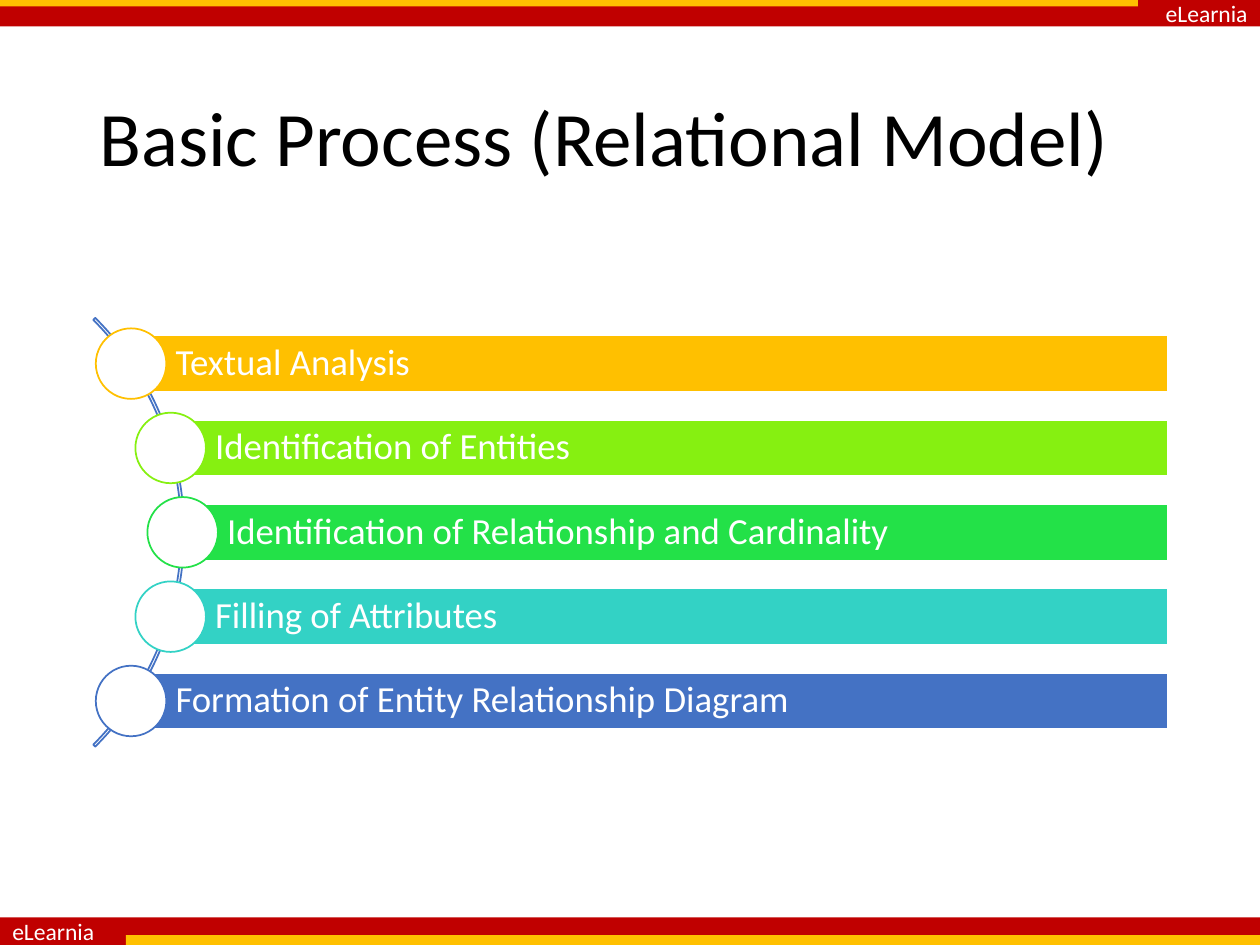
import math
from pptx import Presentation
from pptx.dml.color import RGBColor
from pptx.enum import shapes, text
from pptx.util import Pt

FONT = "Calibri"
TITLE = "Basic Process (Relational Model)"
SCHOOL = "eLearnia"
WHITE, RED, GOLD, BLUE = "FFFFFF", "C00000", "FFC000", "4472C4"
STEPS = [
    ("Textual Analysis", GOLD),
    ("Identification of Entities", "86F011"),
    ("Identification of Relationship and Cardinality", "23E148"),
    ("Filling of Attributes", "33D2C5"),
    ("Formation of Entity Relationship Diagram", BLUE),
]
BANDS = [
    (0, 0, 720, 15.1, RED, text.PP_ALIGN.RIGHT),
    (0, 524.2, 720, 15.8, RED, text.PP_ALIGN.LEFT),
    (0, 0, 650.2, 3.6, GOLD, None),
    (72, 534.4, 648, 5.6, GOLD, None),
]

ARC_X, ARC_Y, ARC_RADIUS, ARC_THICKNESS = -68, 304.2, 173.2, 1.6
STEP_PITCH, BAR_HEIGHT, BAR_RIGHT, DOT = 48.2, 32.2, 667.4, 40.3


def rgb(value):
    return RGBColor.from_string(value)


def add_part(slide, kind, left, top, width, height, fill=None, line=None):
    part = slide.shapes.add_shape(kind, Pt(left), Pt(top), Pt(width), Pt(height))
    part.shadow.inherit = False
    if fill:
        part.fill.solid()
        part.fill.fore_color.rgb = rgb(fill)
    else:
        part.fill.background()
    if line:
        part.line.color.rgb = rgb(line)
        part.line.width = Pt(1)
    else:
        part.line.fill.background()
    return part


def write(part, words, size, color, align=text.PP_ALIGN.LEFT, spacing=1.0, wrap=True):
    frame = part.text_frame
    frame.word_wrap = wrap
    frame.vertical_anchor = text.MSO_ANCHOR.MIDDLE
    paragraph = frame.paragraphs[0]
    paragraph.alignment = align
    paragraph.line_spacing = spacing
    run = paragraph.add_run()
    run.text = words
    run.font.name = FONT
    run.font.size = Pt(size)
    run.font.color.rgb = rgb(color)
    return frame


def add_step(slide, index, words, color):
    offset = (index - (len(STEPS) - 1) / 2) * STEP_PITCH
    middle = ARC_Y + offset
    left = ARC_X + math.sqrt((ARC_RADIUS - ARC_THICKNESS / 2) ** 2 - offset ** 2)
    bar = add_part(slide, shapes.MSO_SHAPE.RECTANGLE, left, middle - BAR_HEIGHT / 2,
                   BAR_RIGHT - left, BAR_HEIGHT, color, WHITE)
    frame = write(bar, words, 21, WHITE, spacing=0.9)
    frame.margin_left = Pt(25.4)
    frame.margin_top = frame.margin_right = frame.margin_bottom = Pt(4.2)
    add_part(slide, shapes.MSO_SHAPE.OVAL, left - DOT / 2, middle - DOT / 2,
             DOT, DOT, WHITE, color)


def main():
    deck = Presentation()
    deck.slide_width, deck.slide_height = Pt(720), Pt(540)
    slide = deck.slides.add_slide(deck.slide_layouts[6])

    for left, top, width, height, color, align in BANDS:
        band = add_part(slide, shapes.MSO_SHAPE.RECTANGLE, left, top, width, height, color)
        if align is not None:
            write(band, SCHOOL, 13.5, WHITE, align, wrap=False)

    title = slide.shapes.add_textbox(Pt(49.7), Pt(28.8), Pt(620.6), Pt(104.4))
    write(title, TITLE, 44, "000000", spacing=0.9)

    size = 2 * ARC_RADIUS
    arc = add_part(slide, shapes.MSO_SHAPE.BLOCK_ARC, ARC_X - ARC_RADIUS,
                   ARC_Y - ARC_RADIUS, size, size, line=BLUE)
    for index, value in enumerate((189, 27, ARC_THICKNESS / size)):
        arc.adjustments[index] = value

    for index, (words, color) in enumerate(STEPS):
        add_step(slide, index, words, color)

    deck.save("out.pptx")


if __name__ == "__main__":
    main()
